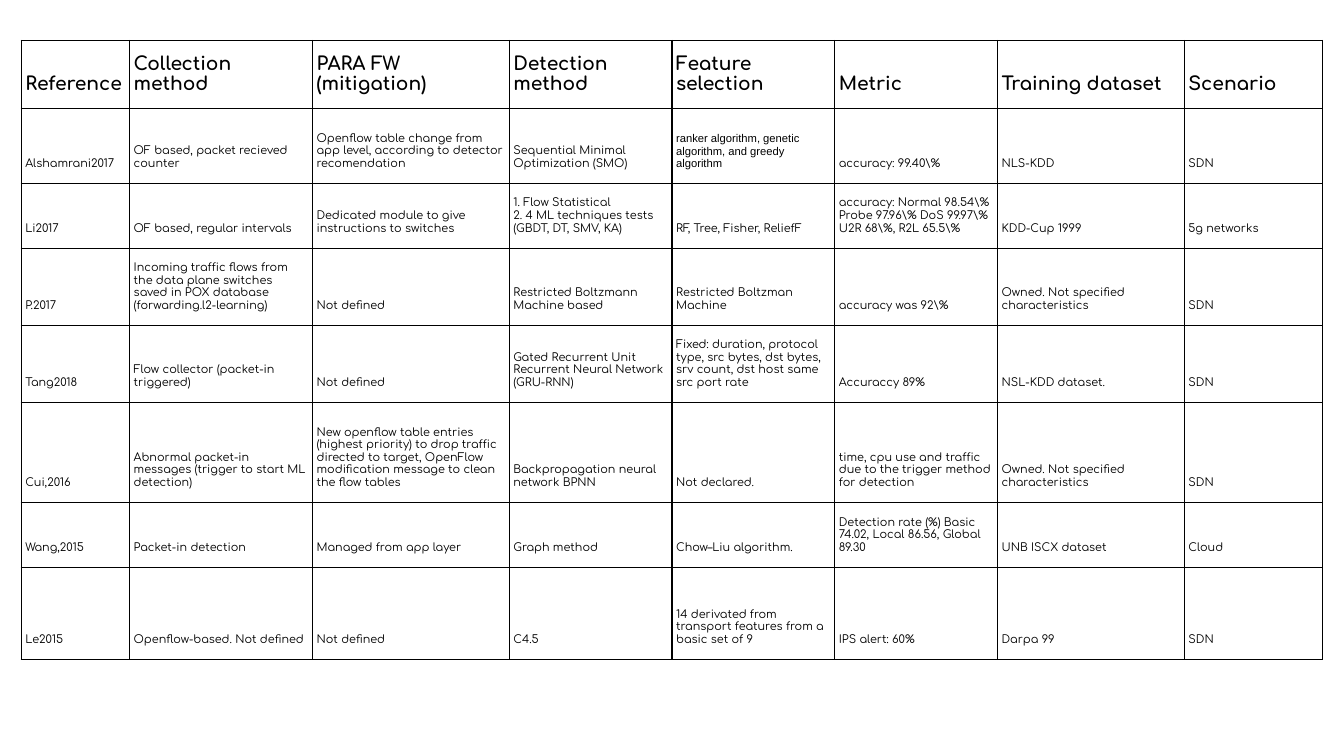
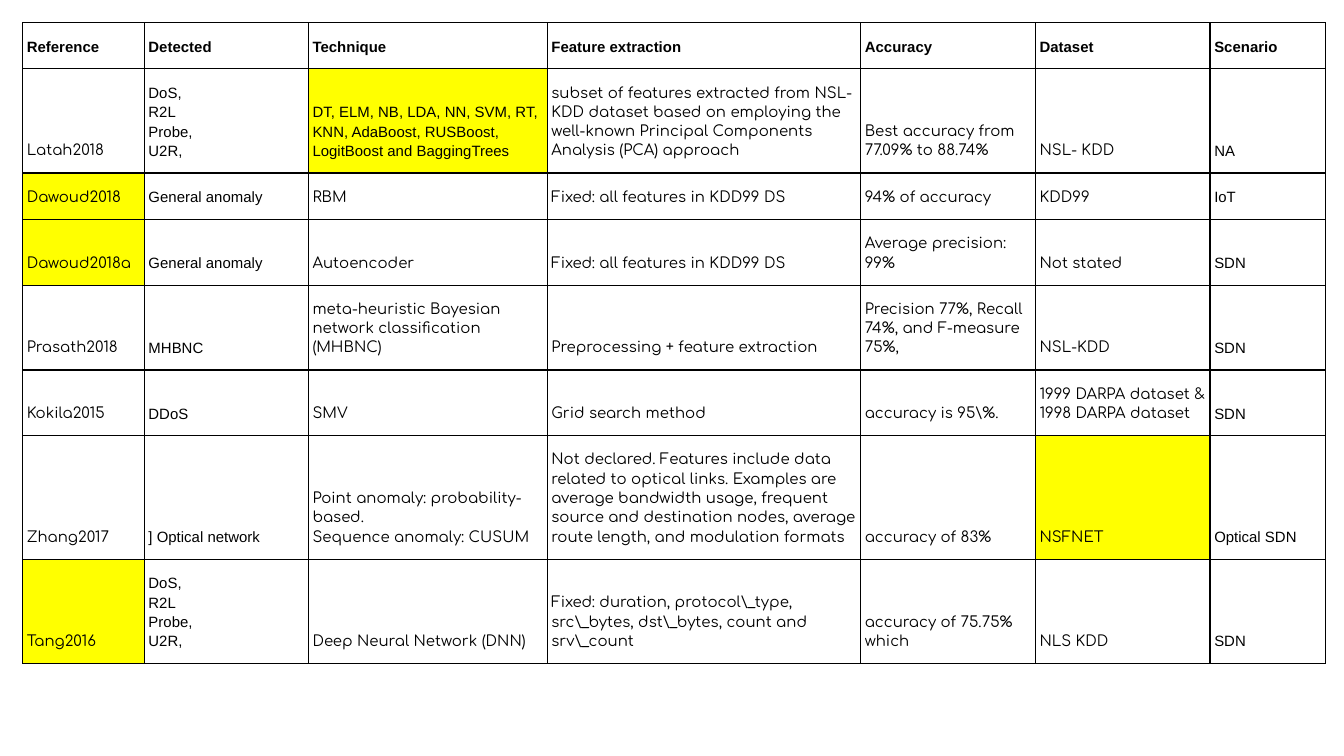
from dataclasses import dataclass

from lxml import etree
from pptx import Presentation
from pptx import dml, slide as s, table as t, util as u
from pptx.dml import color, fill as f
from pptx.enum import text
from pptx.oxml import ns

BLACK = "000000"
YELLOW = "FFFF00"
ROUNDED = "Comfortaa"
PLAIN = "Arial"
BORDER_WIDTH = 0.75
SIDE_MARGIN = 2.25
END_MARGIN = 7.2


@dataclass(frozen=True)
class ComparisonTable:
    left: float
    top: float
    widths: list[float]
    heights: list[float]
    rows: list[list[str]]
    header_size: float
    body_size: float
    line_spacing: float
    plain_cells: set[tuple[int, int]]
    highlighted_cells: set[tuple[int, int]]


MITIGATION_ROWS = [
    ["Reference", "Collection method", "PARA FW (mitigation)", "Detection method",
     "Feature selection", "Metric", "Training dataset", "Scenario"],
    ["Alshamrani2017", "OF based, packet recieved counter",
     "Openflow table change from app level, according to detector recomendation",
     "Sequential Minimal Optimization (SMO)",
     "ranker algorithm, genetic algorithm, and greedy algorithm",
     r"accuracy: 99.40\%", "NLS-KDD", "SDN"],
    ["Li2017", "OF based, regular intervals",
     "Dedicated module to give instructions to switches",
     "1. Flow Statistical\n2. 4 ML techniques tests (GBDT, DT, SMV, KA)",
     "RF, Tree, Fisher, ReliefF",
     r"accuracy: Normal 98.54\% Probe 97.96\% DoS 99.97\% U2R 68\%, R2L 65.5\%",
     "KDD-Cup 1999", "5g networks"],
    ["P.2017",
     "Incoming traffic flows from the data plane switches saved in POX database "
     "(forwarding.l2-learning)",
     "Not defined", "Restricted Boltzmann Machine based", "Restricted Boltzman Machine",
     r"accuracy was 92\%", "Owned. Not specified characteristics", "SDN"],
    ["Tang2018", "Flow collector (packet-in triggered)", "Not defined",
     "Gated Recurrent Unit Recurrent Neural Network (GRU-RNN)",
     "Fixed: duration, protocol type, src bytes, dst bytes, srv count, "
     "dst host same src port rate",
     "Accuraccy 89%", "NSL-KDD dataset.", "SDN"],
    ["Cui,2016", "Abnormal packet-in messages (trigger to start ML detection)",
     "New openflow table entries (highest priority) to drop traffic directed to target, "
     "OpenFlow modification message to clean the flow tables",
     "Backpropagation neural network BPNN", "Not declared.",
     "time, cpu use and traffic due to the trigger method for detection",
     "Owned. Not specified characteristics", "SDN"],
    ["Wang,2015", "Packet-in detection", "Managed from app layer", "Graph method",
     "Chow–Liu algorithm.", "Detection rate (%) Basic 74.02, Local 86.56, Global 89.30",
     "UNB ISCX dataset", "Cloud"],
    ["Le2015", "Openflow-based. Not defined", "Not defined", "C4.5",
     "14 derivated from transport features from a basic set of 9",
     "IPS alert: 60%", "Darpa 99", "SDN"],
]

ATTACK_CLASSES = "DoS,\nR2L\nProbe,\nU2R,"
KDD99_FEATURES = "Fixed: all features in KDD99 DS"
DETECTION_ROWS = [
    ["Reference", "Detected", "Technique", "Feature extraction", "Accuracy", "Dataset",
     "Scenario"],
    ["Latah2018", ATTACK_CLASSES,
     "DT, ELM, NB, LDA, NN, SVM, RT, KNN, AdaBoost, RUSBoost, LogitBoost and BaggingTrees",
     "subset of features extracted from NSL-KDD dataset based on employing the "
     "well-known Principal Components Analysis (PCA) approach",
     "Best accuracy from 77.09% to 88.74%", "NSL- KDD", "NA"],
    ["Dawoud2018", "General anomaly", "RBM", KDD99_FEATURES, "94% of accuracy", "KDD99",
     "IoT"],
    ["Dawoud2018a", "General anomaly", "Autoencoder", KDD99_FEATURES,
     "Average precision: 99%", "Not stated", "SDN"],
    ["Prasath2018", "MHBNC", "meta-heuristic Bayesian network classification (MHBNC)",
     "Preprocessing + feature extraction",
     "Precision 77%, Recall 74%, and F-measure 75%,", "NSL-KDD", "SDN"],
    ["Kokila2015", "DDoS", "SMV", "Grid search method", r"accuracy is 95\%.",
     "1999 DARPA dataset & 1998 DARPA dataset", "SDN"],
    ["Zhang2017", "] Optical network",
     "Point anomaly: probability-based.\nSequence anomaly: CUSUM",
     "Not declared. Features include data related to optical links. Examples are average "
     "bandwidth usage, frequent source and destination nodes, average route length, and "
     "modulation formats",
     "accuracy of 83%", "NSFNET", "Optical SDN"],
    ["Tang2016", ATTACK_CLASSES, "Deep Neural Network (DNN)",
     r"Fixed: duration, protocol\_type, src\_bytes, dst\_bytes, count and srv\_count",
     "accuracy of 75.75% which", "NLS KDD", "SDN"],
]

HEADER_CELLS = {(0, column) for column in range(len(DETECTION_ROWS[0]))}
DETECTED_AND_SCENARIO_CELLS = {
    (row, column) for row in range(len(DETECTION_ROWS)) for column in (1, 6)
}

TABLES = [
    ComparisonTable(
        left=11.3, top=21.7,
        widths=[58.1, 98, 105.4, 87.2, 87.2, 87.2, 100.1, 74.2],
        heights=[36.4, 40.2, 34.3, 41.2, 41.2, 53.6, 34.8, 49.3],
        rows=MITIGATION_ROWS, header_size=10, body_size=6, line_spacing=1,
        plain_cells={(1, 4)}, highlighted_cells=set(),
    ),
    ComparisonTable(
        left=12.1, top=12.1,
        widths=[65.2, 87.9, 128, 167.9, 93.6, 93.6, 62],
        heights=[24.6, 55.7, 24.6, 35.3, 45.2, 35.2, 65.9, 55.7],
        rows=DETECTION_ROWS, header_size=8, body_size=8, line_spacing=1.15,
        plain_cells=HEADER_CELLS | DETECTED_AND_SCENARIO_CELLS | {(1, 2)},
        highlighted_cells={(1, 2), (2, 0), (3, 0), (6, 5), (7, 0)},
    ),
]


def set_color(fill: f.FillFormat, value: str) -> None:
    fill.solid()
    fill.fore_color.rgb = color.RGBColor.from_string(value)


def add_borders(cell: t._Cell) -> None:
    properties = cell._tc.get_or_add_tcPr()
    for side in ("lnL", "lnR", "lnT", "lnB"):
        line = etree.SubElement(
            properties, ns.qn(f"a:{side}"), w=str(u.Pt(BORDER_WIDTH)))
        solid = etree.SubElement(line, ns.qn("a:solidFill"))
        etree.SubElement(solid, ns.qn("a:srgbClr"), val=BLACK)


def format_cell(cell: t._Cell, table: ComparisonTable, row: int, column: int) -> None:
    cell.vertical_anchor = text.MSO_ANCHOR.BOTTOM
    cell.margin_left = cell.margin_right = u.Pt(SIDE_MARGIN)
    cell.margin_top = cell.margin_bottom = u.Pt(END_MARGIN)
    add_borders(cell)
    if (row, column) in table.highlighted_cells:
        set_color(cell.fill, YELLOW)
    else:
        cell.fill.background()
    cell.text_frame.text = table.rows[row][column]
    for paragraph in cell.text_frame.paragraphs:
        paragraph.line_spacing = table.line_spacing
        font = paragraph.font
        font.name = PLAIN if (row, column) in table.plain_cells else ROUNDED
        font.size = u.Pt(table.body_size if row else table.header_size)
        font.bold = row == 0
        set_color(font.fill, BLACK)


def draw_table(slide: s.Slide, table: ComparisonTable) -> None:
    grid = slide.shapes.add_table(
        len(table.heights), len(table.widths), u.Pt(table.left), u.Pt(table.top),
        u.Pt(sum(table.widths)), u.Pt(sum(table.heights))).table
    grid.first_row = False
    grid.horz_banding = False
    for column, width in zip(grid.columns, table.widths):
        column.width = u.Pt(width)
    for row, height in enumerate(table.heights):
        grid.rows[row].height = u.Pt(height)
        for column in range(len(table.widths)):
            format_cell(grid.cell(row, column), table, row, column)


def main() -> None:
    presentation = Presentation()
    presentation.slide_width = u.Pt(720)
    presentation.slide_height = u.Pt(405)
    blank_layout = presentation.slide_layouts[6]
    for table in TABLES:
        draw_table(presentation.slides.add_slide(blank_layout), table)
    presentation.save("out.pptx")


if __name__ == "__main__":
    main()
